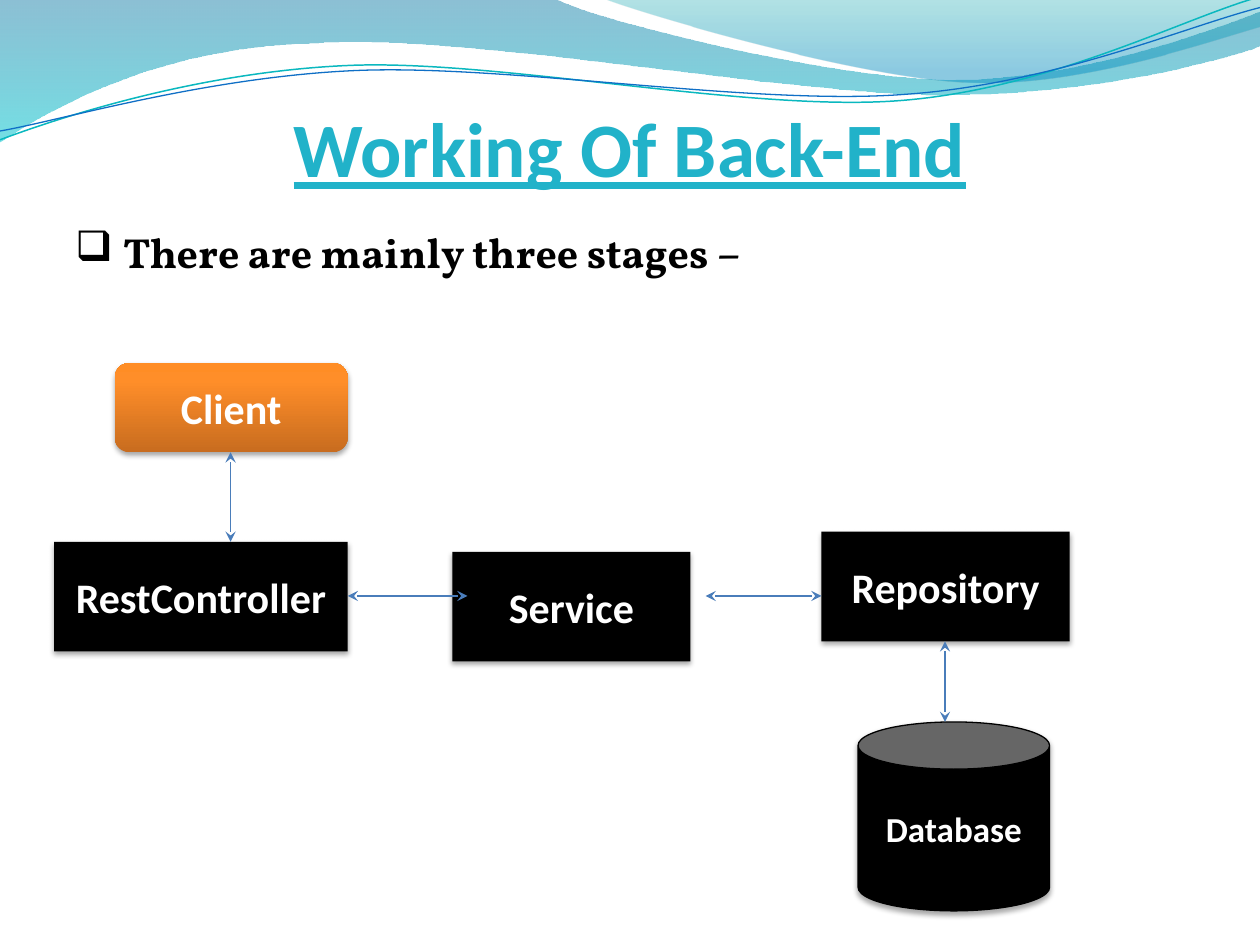
from lxml.etree import SubElement
from pptx import Presentation
from pptx.dml.color import RGBColor
from pptx.enum.shapes import MSO_CONNECTOR, MSO_SHAPE
from pptx.enum.text import MSO_ANCHOR, MSO_AUTO_SIZE, PP_ALIGN
from pptx.oxml import parse_xml
from pptx.oxml.ns import nsdecls, qn
from pptx.util import Inches, Pt

BLACK = RGBColor(0x00, 0x00, 0x00)
WHITE = RGBColor(0xFF, 0xFF, 0xFF)
TITLE_TEAL = RGBColor(0x21, 0xB2, 0xC9)
WAVE_TEAL = RGBColor(0x0A, 0xB8, 0xBF)
WAVE_BLUE = RGBColor(0x0F, 0x6F, 0xC6)
ARROW_BLUE = RGBColor(0x4A, 0x7D, 0xBA)
SEA_BLUE = RGBColor(0x00, 0x74, 0xA1)
SEA_CYAN = RGBColor(0x00, 0xC6, 0xCF)
SKY_TEAL = RGBColor(0x00, 0xA1, 0xA9)
SKY_BLUE = RGBColor(0x00, 0x8B, 0xBF)
DARK_ORANGE = RGBColor(0xC8, 0x6C, 0x1F)
ORANGE = RGBColor(0xFF, 0x8E, 0x29)
BRIGHT_ORANGE = RGBColor(0xFF, 0x8D, 0x25)


def fill_gradient(shape, stops, angle):
    stop_xml = "".join(
        f'<a:gs pos="{pos * 1000}"><a:srgbClr val="{color}">'
        f'<a:alpha val="{opacity * 1000}"/></a:srgbClr></a:gs>'
        for pos, color, opacity in stops)
    shape.fill.background()
    properties = shape._element.spPr
    properties.replace(properties.find(qn("a:noFill")), parse_xml(
        f'<a:gradFill {nsdecls("a")} rotWithShape="1"><a:gsLst>{stop_xml}</a:gsLst>'
        f'<a:lin ang="{angle * 60000}" scaled="0"/></a:gradFill>'))


def draw_wave(shapes, start, segments, closed):
    corners = [(Inches(x), Inches(y)) for segment in segments
               for x, y in zip(segment[::2], segment[1::2])]
    builder = shapes.build_freeform(Inches(start[0]), Inches(start[1]))
    builder.add_line_segments(corners, close=closed)
    wave = builder.convert_to_shape()
    wave.shadow.inherit = False
    steps = iter(list(wave._element.spPr.iter(qn("a:lnTo"))))
    for segment in segments:
        step = next(steps)
        if len(segment) == 6:
            step.addprevious(parse_xml(f'<a:cubicBezTo {nsdecls("a")}/>'))
            curve = step.getprevious()
            for corner in (step, next(steps), next(steps)):
                curve.append(corner[0])
                corner.getparent().remove(corner)
    return wave


prs = Presentation()
prs.slide_width, prs.slide_height = Inches(10), Inches(7.5)
slide = prs.slides.add_slide(prs.slide_layouts[5])
shapes = slide.shapes

wave_bands = [
    ((0, 0), [(4.4, -0.01), (4.76, 0.17, 6.64, 0.63, 7.58, 0.63),
              (8.53, 0.63, 9.58, 0.26, 10, 0.09), (10.01, 0.36),
              (9.83, 0.44, 8.7, 0.76, 7.46, 0.75), (6.22, 0.75, 3.82, 0.28, 2.57, 0.34),
              (1.29, 0.36, 0.46, 0.83, -0.01, 1.13)],
     [(0, SEA_BLUE, 45), (100, SEA_CYAN, 55)]),
    ((4.79, -0.01), [(5.09, 0.11, 6.82, 0.62, 7.69, 0.65),
                     (8.56, 0.69, 9.61, 0.32, 10, 0.21), (10, 0)],
     [(0, SKY_TEAL, 30), (80, SKY_BLUE, 45)]),
]
for start, segments, stops in wave_bands:
    band = draw_wave(shapes, start, segments, True)
    fill_gradient(band, stops, 90)
    band.line.fill.background()

wave_lines = [
    ((0, 1.11), [(0.48, 0.93, 1.58, 0.57, 2.77, 0.52), (3.95, 0.47, 5.93, 0.89, 7.13, 0.8),
                 (8.33, 0.71, 9.38, 0.15, 9.98, -0.02)], WAVE_TEAL, 0.85),
    ((0, 1.04), [(0.47, 0.96, 1.64, 0.61, 2.83, 0.56), (4.03, 0.51, 5.97, 0.84, 7.17, 0.75),
                 (8.36, 0.67, 9.41, 0.21, 10, 0.06)], WAVE_BLUE, 0.75),
]
for start, segments, color, width in wave_lines:
    strand = draw_wave(shapes, start, segments, False)
    strand.fill.background()
    strand.line.color.rgb = color
    strand.line.width = Pt(width)

title = shapes.title
title.left, title.top, title.width, title.height = map(Inches, (0.5, 0.5, 9, 1.33))
title.text_frame.auto_size = MSO_AUTO_SIZE.NONE
title.text_frame.vertical_anchor = MSO_ANCHOR.MIDDLE
heading = title.text_frame.paragraphs[0]
heading.alignment = PP_ALIGN.CENTER
run = heading.add_run()
run.text = "Working Of Back-End"
run.font.name, run.font.size = "Calibri", Pt(44)
run.font.bold = run.font.underline = True
run.font.color.rgb = TITLE_TEAL

intro = shapes.add_textbox(Inches(0.5), Inches(1.75), Inches(9), Inches(4.95))
intro.text_frame.word_wrap = True
statement = intro.text_frame.paragraphs[0]
indent = statement._p.get_or_add_pPr()
indent.set("marL", str(Inches(0.38)))
indent.set("indent", str(-Inches(0.38)))
SubElement(SubElement(indent, qn("a:buClr")), qn("a:srgbClr")).set("val", str(BLACK))
bullet_font = SubElement(indent, qn("a:buFont"))
bullet_font.set("typeface", "Wingdings")
bullet_font.set("pitchFamily", "2")
bullet_font.set("charset", "2")
SubElement(indent, qn("a:buChar")).set("char", "q")
run = statement.add_run()
run.text = "There are mainly three stages –"
run.font.name, run.font.size, run.font.bold = "Vollkorn", Pt(24), True
run.font.color.rgb = BLACK

stages = [
    ("Service", MSO_SHAPE.RECTANGLE, (3.59, 4.38, 1.89, 0.87), 24),
    ("Repository", MSO_SHAPE.RECTANGLE, (6.52, 4.22, 1.97, 0.87), 24),
    ("RestController", MSO_SHAPE.RECTANGLE, (0.43, 4.3, 2.33, 0.87), 24),
    ("Client", MSO_SHAPE.ROUNDED_RECTANGLE, (0.91, 2.88, 1.85, 0.71), 24),
    ("Database", MSO_SHAPE.CAN, (6.81, 5.73, 1.52, 1.5), 20),
]
for label, kind, box, size in stages:
    stage = shapes.add_shape(kind, *map(Inches, box))
    if label == "Client":
        fill_gradient(stage, [(0, DARK_ORANGE, 100), (80, ORANGE, 100),
                              (100, BRIGHT_ORANGE, 100)], 270)
    else:
        stage.fill.solid()
        stage.fill.fore_color.rgb = BLACK
    if label == "Database":
        stage.line.color.rgb = BLACK
        stage.line.width = Pt(0.75)
    else:
        stage.line.fill.background()
    stage.shadow.inherit = False
    stage._element.spPr.find(qn("a:effectLst")).append(parse_xml(
        f'<a:outerShdw {nsdecls("a")} blurRad="{Pt(3.1)}" dist="{Pt(1.8)}" dir="5400000" '
        f'rotWithShape="0"><a:srgbClr val="{BLACK}"><a:alpha val="35000"/></a:srgbClr>'
        '</a:outerShdw>'))
    stage.text_frame.word_wrap = True
    stage.text_frame.vertical_anchor = MSO_ANCHOR.MIDDLE
    caption = stage.text_frame.paragraphs[0]
    caption.alignment = PP_ALIGN.CENTER
    run = caption.add_run()
    run.text = label
    run.font.name, run.font.size, run.font.bold = "Calibri", Pt(size), True
    run.font.color.rgb = WHITE

links = [(1.83, 3.59, 1.83, 4.3), (2.76, 4.73, 3.71, 4.73),
         (5.6, 4.73, 6.52, 4.73), (7.5, 5.09, 7.5, 5.73)]
for ends in links:
    link = shapes.add_connector(MSO_CONNECTOR.STRAIGHT, *map(Inches, ends))
    link.line.color.rgb = ARROW_BLUE
    link.line.width = Pt(0.75)
    stroke = link.line._get_or_add_ln()
    for end in ("a:headEnd", "a:tailEnd"):
        SubElement(stroke, qn(end)).set("type", "stealth")
    SubElement(link._element.spPr, qn("a:effectLst"))

prs.save("out.pptx")
